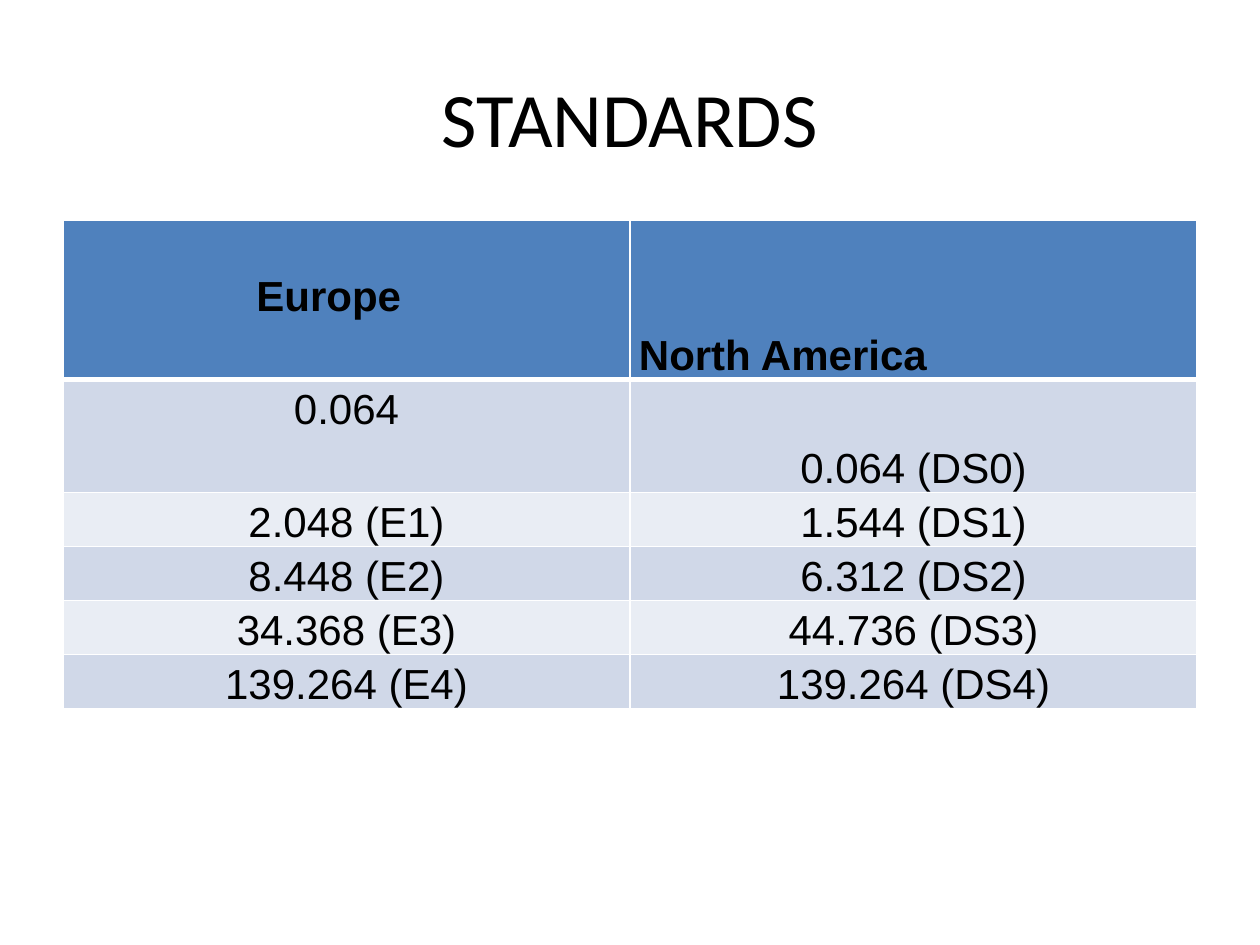
from lxml import etree
from pptx import Presentation
from pptx.dml.color import RGBColor
from pptx.enum.text import MSO_ANCHOR, PP_ALIGN
from pptx.oxml.ns import qn
from pptx.util import Cm, Pt

CENTER = PP_ALIGN.CENTER
JUSTIFY = PP_ALIGN.JUSTIFY
MIDDLE = MSO_ANCHOR.MIDDLE
BOTTOM = MSO_ANCHOR.BOTTOM
TITLE_ONLY = 5

COLORS = {
    "text": "000000",
    "border": "FFFFFF",
    "header": "4F81BD",
    "odd_row": "D0D8E8",
    "even_row": "E9EDF4",
}

STANDARDS = [
    ("Europe", "North America"),
    ("0.064", "0.064 (DS0)"),
    ("2.048 (E1)", "1.544 (DS1)"),
    ("8.448 (E2)", "6.312 (DS2)"),
    ("34.368 (E3)", "44.736 (DS3)"),
    ("139.264 (E4)", "139.264 (DS4)"),
]
ROW_HEIGHTS = [3.2, 2.28] + [1.09] * 4
COLUMN_WIDTH = 11.43
SIDE_MARGIN = 0.18
RAISED_MARGIN = 1.19
EUROPE_INDENT = 3.9


def format_paragraph(paragraph, font_name, size, alignment, bold=False):
    paragraph.alignment = alignment
    for run in paragraph.runs:
        run.font.name = font_name
        run.font.size = Pt(size)
        run.font.bold = bold
        run.font.color.rgb = RGBColor.from_string(COLORS["text"])


def add_title(slide, text):
    title = slide.shapes.title
    title.left, title.top = Cm(1.27), Cm(0.76)
    title.width, title.height = Cm(22.86), Cm(3.18)
    title.text_frame.text = text
    title.text_frame.vertical_anchor = MIDDLE
    format_paragraph(title.text_frame.paragraphs[0], "Calibri", 44, CENTER)


def set_borders(cell, widths):
    properties = cell._tc.get_or_add_tcPr()
    for side, width in widths.items():
        line = etree.SubElement(properties, qn(f"a:ln{side}"), w=str(Pt(width)))
        fill = etree.SubElement(line, qn("a:solidFill"))
        etree.SubElement(fill, qn("a:srgbClr"), val=COLORS["border"])


def fill_cell(cell, text, row_index):
    is_header = row_index == 0
    set_borders(cell, {
        "L": 1,
        "R": 1,
        "T": 3 if row_index == 1 else 1,
        "B": 3 if is_header else 1,
    })
    band = "odd_row" if row_index % 2 else "even_row"
    cell.fill.solid()
    cell.fill.fore_color.rgb = RGBColor.from_string(COLORS["header" if is_header else band])
    cell.vertical_anchor = BOTTOM
    cell.margin_left = cell.margin_right = Cm(SIDE_MARGIN)
    cell.margin_top = cell.margin_bottom = 0
    cell.text_frame.text = text
    paragraph = cell.text_frame.paragraphs[0]
    paragraph.line_spacing = 1.15
    format_paragraph(paragraph, "Arial", 24, JUSTIFY if is_header else CENTER, is_header)


def add_standards_table(slide):
    columns = len(STANDARDS[0])
    table = slide.shapes.add_table(
        len(STANDARDS), columns, Cm(1.27), Cm(4.45),
        Cm(COLUMN_WIDTH * columns), Cm(sum(ROW_HEIGHTS)),
    ).table
    for column in table.columns:
        column.width = Cm(COLUMN_WIDTH)
    for row_index, (values, height) in enumerate(zip(STANDARDS, ROW_HEIGHTS)):
        table.rows[row_index].height = Cm(height)
        for column_index, text in enumerate(values):
            fill_cell(table.cell(row_index, column_index), text, row_index)
    for row_index in (0, 1):
        table.cell(row_index, 0).margin_bottom = Cm(RAISED_MARGIN)
    table.cell(0, 0).margin_left = Cm(EUROPE_INDENT)


def main():
    presentation = Presentation()
    presentation.slide_width, presentation.slide_height = Cm(25.4), Cm(19.05)
    slide = presentation.slides.add_slide(presentation.slide_layouts[TITLE_ONLY])
    add_title(slide, "STANDARDS")
    add_standards_table(slide)
    presentation.save("out.pptx")


if __name__ == "__main__":
    main()
